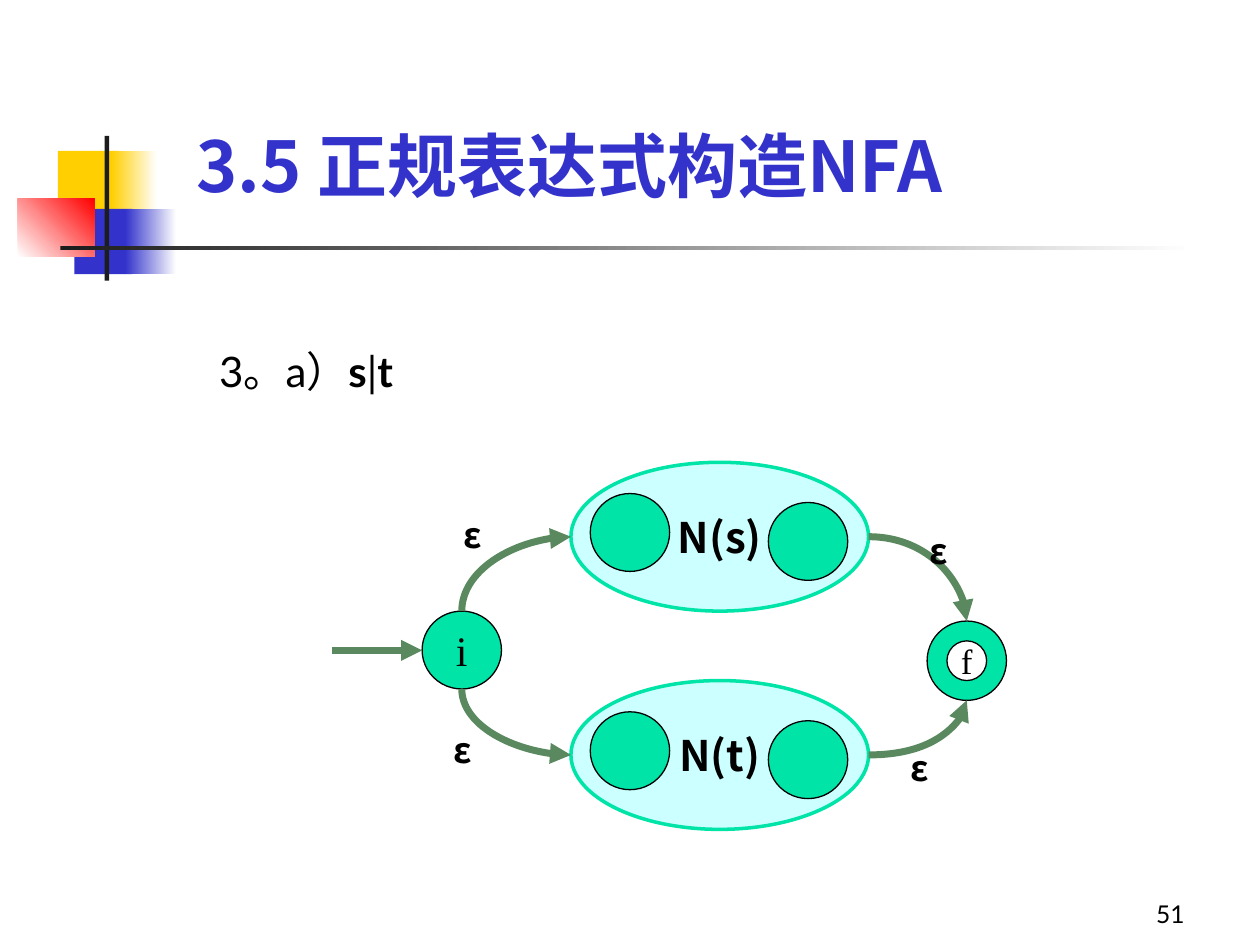
from lxml import etree
from pptx import Presentation
from pptx.dml.color import RGBColor
from pptx.enum.shapes import MSO_CONNECTOR, MSO_SHAPE
from pptx.enum.text import MSO_ANCHOR, PP_ALIGN
from pptx.oxml.ns import qn
from pptx.util import Cm, Pt

RECT, OVAL, DONUT = MSO_SHAPE.RECTANGLE, MSO_SHAPE.OVAL, MSO_SHAPE.DONUT
STRAIGHT, CURVE = MSO_CONNECTOR.STRAIGHT, MSO_CONNECTOR.CURVE
TOP, MIDDLE, BOTTOM = MSO_ANCHOR.TOP, MSO_ANCHOR.MIDDLE, MSO_ANCHOR.BOTTOM
LEFT, CENTER, RIGHT = PP_ALIGN.LEFT, PP_ALIGN.CENTER, PP_ALIGN.RIGHT
SANS, BODY, SERIF = "Noto Sans CJK SC", "Lato", "Times New Roman"
HUES = {
    "black": "000000", "white": "FFFFFF", "gold": "FFCF01", "blue": "3333CC",
    "red": "FF0000", "ink": "1C1C1C", "state": "00E4A8", "cloud": "CCFFFF",
    "link": "5B895F",
}


def hue(name):
    """Return the named colour."""
    return RGBColor.from_string(HUES[name])


def write(frame, runs, size, face, color="black", bold=False, align=CENTER,
          anchor=MIDDLE, wrap=False):
    """Fill a text frame with one paragraph of (text, bold) runs."""
    frame.word_wrap, frame.vertical_anchor = wrap, anchor
    para = frame.paragraphs[0]
    para.alignment = align
    font = para.font
    font.size, font.name, font.bold = Pt(size), face, bold
    font.color.rgb = hue(color)
    east = etree.SubElement(font._element, qn("a:ea"))
    east.set("typeface", SANS)
    for text, strong in runs:
        run = para.add_run()
        run.text = text
        if strong != bold:
            run.font.bold = strong
    return para


def label(slide, box, runs, size, face, **look):
    """Add a text box at the given box."""
    shape = slide.shapes.add_textbox(*map(Cm, box))
    return write(shape.text_frame, runs, size, face, **look)


def solid(slide, kind, box, fill, line=None, width=0.75):
    """Add a plain preset shape."""
    shape = slide.shapes.add_shape(kind, *map(Cm, box))
    shape.shadow.inherit = False
    shape.fill.solid()
    shape.fill.fore_color.rgb = hue(fill)
    if line:
        shape.line.color.rgb = hue(line)
        shape.line.width = Pt(width)
    else:
        shape.line.fill.background()
    return shape


def fade(slide, box, first, last, angle=0):
    """Add a rectangle that blends two colours."""
    fill = solid(slide, RECT, box, first).fill
    fill.gradient()
    fill.gradient_angle = angle
    for stop, name in zip(fill.gradient_stops, (first, last)):
        stop.color.rgb = hue(name)


def arrow(slide, kind, x1, y1, x2, y2):
    """Add a connector with an arrowhead at its end."""
    link = slide.shapes.add_connector(kind, *map(Cm, (x1, y1, x2, y2)))
    link.line.color.rgb = hue("link")
    link.line.width = Pt(4)
    props = link._element.spPr
    etree.SubElement(props.find(qn("a:ln")), qn("a:tailEnd"), type="triangle")
    etree.SubElement(props, qn("a:effectLst"))
    return props


def bend(slide, x1, y1, x2, y2, rise=False):
    """Add a quarter curve that leaves sideways, or upright if rise is set."""
    if rise:
        midx, midy = (x1 + x2) / 2, (y1 + y2) / 2
        dx, dy = (y1 - y2) / 2, (x2 - x1) / 2
        x1, y1, x2, y2 = midx - dx, midy - dy, midx + dx, midy + dy
    props = arrow(slide, CURVE, x1, y1, x2, y2)
    props.find(qn("a:prstGeom")).set("prst", "curvedConnector2")
    if rise:
        props.find(qn("a:xfrm")).set("rot", str(270 * 60000))


def motif(slide, x, y):
    """Draw the coloured squares and the title rule."""
    for dx, dy, wide, blur, name in ((0.81, 0.3, 1.22, 0.91, "gold"),
                                     (1.14, 1.47, 1.17, 1.02, "blue")):
        left = x + dx
        solid(slide, RECT, (left, y + dy, wide, 1.32), name)
        fade(slide, (left + wide - 0.14, y + dy, blur, 1.32), name, "white")
    fade(slide, (x, y + 1.27, 1.55, 1.17), "white", "red", 45)
    solid(slide, RECT, (x + 1.75, y, 0.09, 2.92), "ink")
    fade(slide, (x + 0.86, y + 2.21, 22.86, 0.09), "ink", "white")


def cloud(slide, x, y, text):
    """Draw a sub-automaton with its two states."""
    shape = solid(slide, OVAL, (x, y, 6, 3), "cloud", "state", 2)
    write(shape.text_frame, [(text, True)], 24, SANS, bold=True)
    for dx, dy in ((0.39, 0.63), (3.98, 0.81)):
        solid(slide, OVAL, (x + dx, y + dy, 1.6, 1.57), "state", "black")


def graph(slide, x, y):
    """Draw the automaton for the alternation."""
    start = solid(slide, OVAL, (x + 1.81, y + 3, 1.6, 1.57), "state", "black")
    write(start.text_frame, [("i", False)], 24, SERIF)
    final = solid(slide, DONUT, (x + 11.99, y + 3.2, 1.6, 1.6),
                  "state", "black")
    final.adjustments[0] = 0.25
    write(final.text_frame, [("f", False)], 20, SERIF)
    arrow(slide, STRAIGHT, x, y + 3.79, x + 1.81, y + 3.79)
    for top, text, leave, reach in ((0, "N(s)", 3, 3.2),
                                    (4.4, "N(t)", 4.57, 4.8)):
        mid = y + top + 1.5
        cloud(slide, x + 4.81, y + top, text)
        bend(slide, x + 2.61, y + leave, x + 4.81, mid, rise=True)
        bend(slide, x + 10.81, mid, x + 12.79, y + reach)
    for dx, dy in ((2.39, 0.89), (2.19, 5.21), (11.79, 1.2), (11.41, 5.59)):
        label(slide, (x + dx, y + dy, 0.81, 1.12), [("ε", True)], 20, SANS,
              bold=True, anchor=BOTTOM)


def rule(slide, x, y):
    """Write the construction rule."""
    runs = [("3。a）", False), ("s", True), ("|", False), ("t", True)]
    para = label(slide, (x, y, 8.41, 1.4), runs, 24, BODY,
                 align=LEFT, anchor=TOP, wrap=True)
    para.line_spacing, para.space_before = 1.1, Pt(6)
    props = para._p.get_or_add_pPr()
    props.set("marL", str(Cm(2.06)))
    props.set("indent", str(Cm(-0.79)))


def main():
    """Build the slide and save it."""
    deck = Presentation()
    deck.slide_width, deck.slide_height = Cm(25.4), Cm(19.05)
    slide = deck.slides.add_slide(deck.slide_layouts[6])
    motif(slide, 0.36, 2.74)
    label(slide, (18.85, 17.58, 5.28, 1.27), [("51", False)], 14, BODY,
          align=RIGHT, anchor=BOTTOM, wrap=True)
    label(slide, (3.71, 1.93, 16.59, 2.36), [("3.5 正规表达式构造NFA", True)],
          40, SANS, color="blue", bold=True, align=LEFT, anchor=BOTTOM,
          wrap=True)
    rule(slide, 2.9, 6.73)
    graph(slide, 6.7, 9.32)
    deck.save("out.pptx")


if __name__ == "__main__":
    main()
